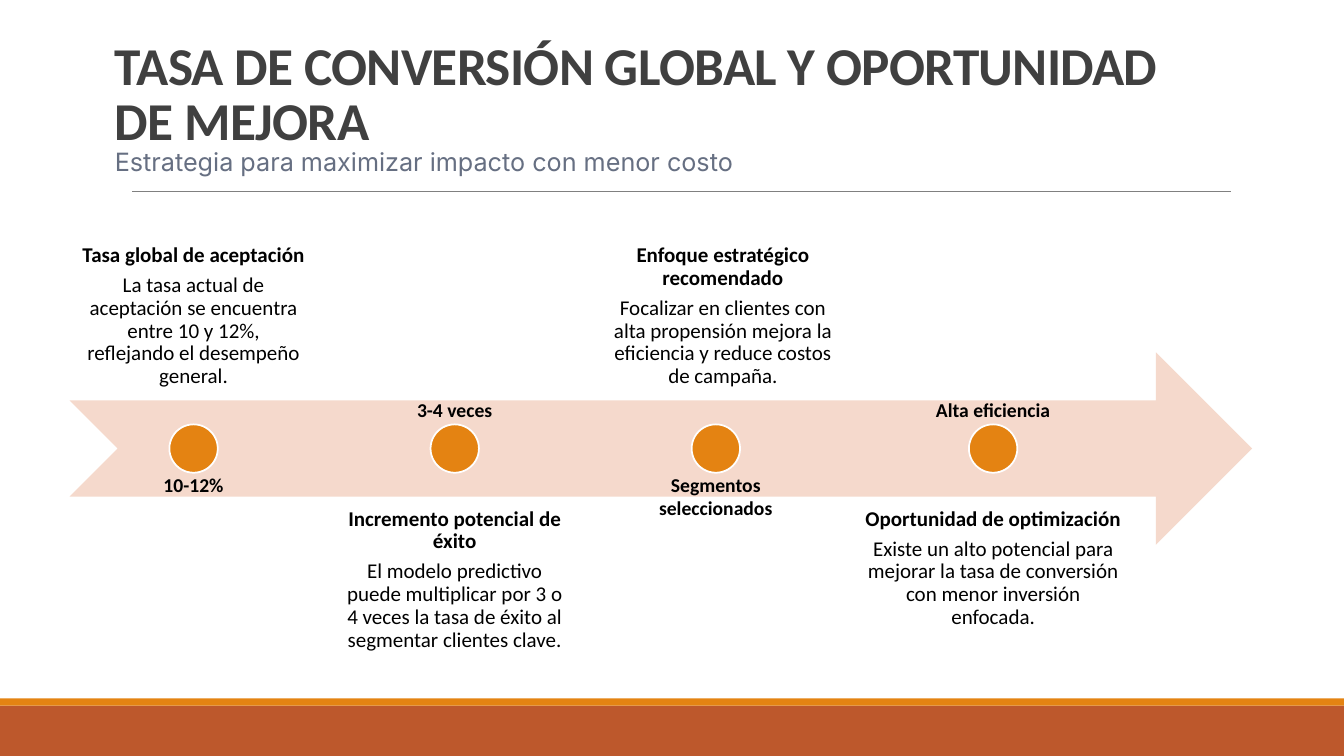
from lxml import etree
from pptx import Presentation
from pptx.dml.color import RGBColor
from pptx.enum.shapes import MSO_CONNECTOR, MSO_SHAPE
from pptx.enum.text import MSO_ANCHOR, MSO_AUTO_SIZE, PP_ALIGN
from pptx.oxml.ns import qn
from pptx.util import Inches, Pt

RECT, DOT, ARROW = MSO_SHAPE.RECTANGLE, MSO_SHAPE.OVAL, MSO_SHAPE.NOTCHED_RIGHT_ARROW
LEFT, CENTER = PP_ALIGN.LEFT, PP_ALIGN.CENTER
TOP, BOTTOM = MSO_ANCHOR.TOP, MSO_ANCHOR.BOTTOM
NO_FIT, LINE = MSO_AUTO_SIZE.NONE, MSO_CONNECTOR.STRAIGHT

TITLE = "TASA DE CONVERSIÓN GLOBAL Y OPORTUNIDAD DE MEJORA"
SUB = "Estrategia para maximizar impacto con menor costo"
# dot centre, text centre, text width, tag width, tag, heading, body
STEPS = [
    (1.92, 1.92, 2.46, 1.06, "10-12%", "Tasa global de aceptación",
     "La tasa actual de aceptación se encuentra entre 10 y 12%, "
     "reflejando el desempeño general."),
    (4.51, 4.51, 2.46, 1.29, "3-4 veces", "Incremento potencial de éxito",
     "El modelo predictivo puede multiplicar por 3 o 4 veces la tasa de éxito "
     "al segmentar clientes clave."),
    (7.1, 7.17, 2.46, 1.77, "Segmentos seleccionados",
     "Enfoque estratégico recomendado",
     "Focalizar en clientes con alta propensión mejora la eficiencia "
     "y reduce costos de campaña."),
    (9.85, 9.85, 2.79, 1.77, "Alta eficiencia", "Oportunidad de optimización",
     "Existe un alto potencial para mejorar la tasa de conversión "
     "con menor inversión enfocada."),
]
WIDE, HIGH = 13.33, 7.5
BAND, STRIPE = 0.5, 0.07
MID, TALL, SIDE = 4.45, 1.91, 0.48
ABOVE, BELOW = 2.06, 4.92
TAG_UP, TAG_LOW, TAG_H = 3.9, 4.64, 0.34
ORANGE, RUST, PEACH = "E48312", "BD582C", "F5D9CC"

HEAD_FONT = dict(name="Calibri", size=Pt(38), bold=True)
SUB_FONT = dict(name="Inter", size=Pt(18), bold=False)
TAG_FONT = dict(name="Calibri", size=Pt(14), bold=True)
BOLD_FONT = dict(name="Calibri", size=Pt(15), bold=True)
BODY_FONT = dict(BOLD_FONT, bold=False)
STEP_PARA = dict(alignment=CENTER, line_spacing=0.9, space_after=Pt(5.25))


def rgb(code):
    return RGBColor.from_string(code)


def put(item, values):
    for key, value in values.items():
        setattr(item, key, value)


def write(frame, rows, para, color="000000", anchor=TOP, inset=None):
    """Fill a frame with one paragraph for each (text, font) row."""
    put(frame, dict(word_wrap=True, auto_size=NO_FIT, vertical_anchor=anchor))
    if inset is not None:
        sides = ("left", "top", "right", "bottom")
        put(frame, {f"margin_{side}": Inches(inset) for side in sides})
    for i, (text, font) in enumerate(rows):
        line = frame.add_paragraph() if i else frame.paragraphs[0]
        put(line, para)
        run = line.add_run()
        run.text = text
        put(run.font, font)
        run.font.color.rgb = rgb(color)


def box(x, y, w, h):
    return slide.shapes.add_textbox(*map(Inches, (x, y, w, h))).text_frame


def draw(kind, x, y, w, h, fill, edge=None):
    shape = slide.shapes.add_shape(kind, *map(Inches, (x, y, w, h)))
    shape.shadow.inherit = False
    shape.fill.solid()
    shape.fill.fore_color.rgb = rgb(fill)
    if edge:
        shape.line.color.rgb = rgb(edge)
        shape.line.width = Pt(1.25)
    else:
        shape.line.fill.background()


deck = Presentation()
put(deck, dict(slide_width=Inches(WIDE), slide_height=Inches(HIGH)))
slide = deck.slides.add_slide(deck.slide_layouts[5])

draw(RECT, 0, HIGH - BAND, WIDE, BAND, RUST)
draw(RECT, 0, HIGH - BAND - STRIPE, WIDE, STRIPE, ORANGE)
rule = slide.shapes.add_connector(LINE, *map(Inches, (1.31, 1.9, 12.21, 1.9)))
rule.line.color.rgb = rgb("808080")
rule.line.width = Pt(0.5)
etree.SubElement(rule._element.spPr, qn("a:effectLst"))

title = slide.shapes.title
put(title, dict(left=Inches(1.04), top=Inches(0.22),
                width=Inches(10.7), height=Inches(1.33)))
write(title.text_frame, [(TITLE, HEAD_FONT)],
      dict(alignment=LEFT, line_spacing=0.85), "404040", BOTTOM)
title.text_frame.paragraphs[0].runs[0].font._element.set("spc", "-50")
write(box(1.04, 1.4, 6.67, 0.4), [(SUB, SUB_FONT)], dict(alignment=LEFT), "666F82")

draw(ARROW, 0.69, MID - TALL / 2, 11.73, TALL, PEACH)
for i, (dot, mid, wide, tag_w, tag, head, body) in enumerate(STEPS):
    up = i % 2 == 0
    write(box(mid - wide / 2, ABOVE if up else BELOW, wide, TALL),
          [(head, BOLD_FONT), (body, BODY_FONT)], STEP_PARA,
          anchor=BOTTOM if up else TOP, inset=0.12)
    draw(DOT, dot - SIDE / 2, MID - SIDE / 2, SIDE, SIDE, ORANGE, "FFFFFF")
    write(box(dot - tag_w / 2, TAG_LOW if up else TAG_UP, tag_w, TAG_H),
          [(tag, TAG_FONT)], dict(alignment=CENTER))

deck.save("out.pptx")
